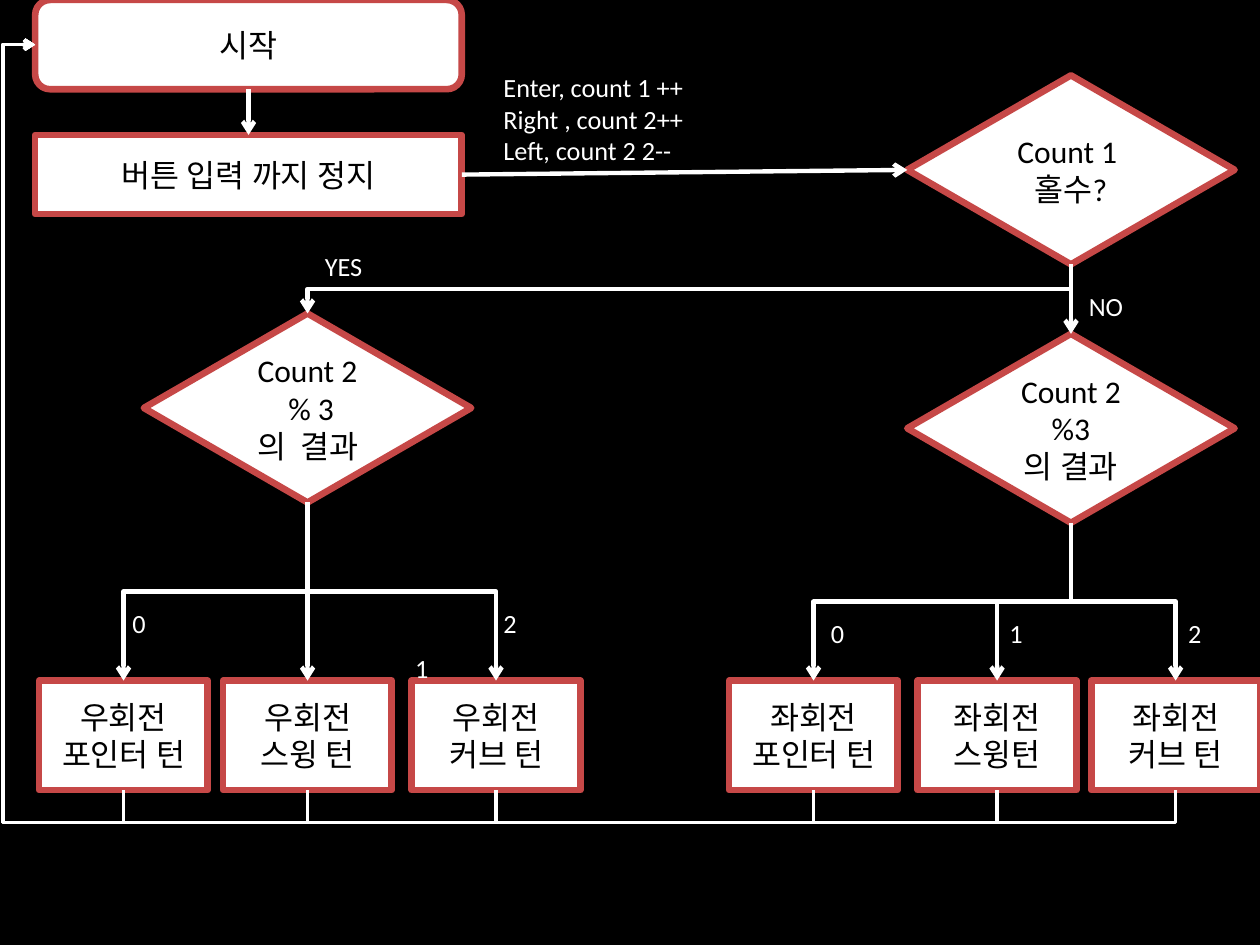
from lxml.etree import SubElement
from pptx import Presentation
from pptx.dml.color import RGBColor
from pptx.enum.shapes import MSO_CONNECTOR as LINK, MSO_SHAPE as SHAPE
from pptx.enum.text import MSO_ANCHOR, PP_ALIGN
from pptx.oxml.ns import qn
from pptx.util import Cm, Pt

COLORS = {"black": "000000", "white": "FFFFFF", "red": "C64847"}
COLORS = {name: RGBColor.from_string(value) for name, value in COLORS.items()}


def write(frame, text, size, color, align):
    frame.word_wrap = True
    frame.text = text
    for paragraph in frame.paragraphs:
        paragraph.alignment = align
        paragraph.font.name = "Calibri"
        paragraph.font.size = Pt(size)
        paragraph.font.color.rgb = COLORS[color]


def style_arrow(arrow, width):
    arrow.line.color.rgb = COLORS["white"]
    arrow.line.width = Pt(width)
    SubElement(arrow.line._get_or_add_ln(), qn("a:tailEnd"), type="arrow")
    SubElement(arrow._element.spPr, qn("a:effectLst"))


deck = Presentation()
deck.slide_width, deck.slide_height = Cm(25.4), Cm(19.05)
slide = deck.slides.add_slide(deck.slide_layouts[6])
slide.background.fill.solid()
slide.background.fill.fore_color.rgb = COLORS["black"]

TURN_TOP, TURN_HEIGHT = 13.72, 2.21
steps = {
    "start": (SHAPE.ROUNDED_RECTANGLE, 0.71, 0, 8.6, 1.8, "시작"),
    "input": (SHAPE.RECTANGLE, 0.71, 2.72, 8.6, 1.6, "버튼 입력 까지 정지"),
}
for key, left, top, text in [
    ("odd", 18.29, 1.52, "Count 1 \n홀수?"),
    ("right", 2.9, 6.32, "Count 2\n % 3\n의  결과"),
    ("left", 18.29, 6.73, "Count 2\n%3\n의 결과"),
]:
    steps[key] = (SHAPE.FLOWCHART_DECISION, left, top, 6.6, 3.81, text)
for key, left, width, text in [
    ("right 0", 0.79, 3.4, "우회전\n포인터 턴"),
    ("right 1", 4.5, 3.4, "우회전\n스윙 턴"),
    ("right 2", 8.3, 3.4, "우회전\n커브 턴"),
    ("left 0", 14.7, 3.4, "좌회전\n포인터 턴"),
    ("left 1", 18.5, 3.2, "좌회전\n스윙턴"),
    ("left 2", 22, 3.4, "좌회전\n커브 턴"),
]:
    steps[key] = (SHAPE.RECTANGLE, left, TURN_TOP, width, TURN_HEIGHT, text)

flow = {}
for key, (kind, left, top, width, height, text) in steps.items():
    step = slide.shapes.add_shape(kind, Cm(left), Cm(top), Cm(width), Cm(height))
    step.shadow.inherit = False
    step.fill.solid()
    step.fill.fore_color.rgb = COLORS["white"]
    step.line.color.rgb = COLORS["red"]
    step.line.width = Pt(3.78)
    step.text_frame.vertical_anchor = MSO_ANCHOR.MIDDLE
    write(step.text_frame, text, 18, "black", PP_ALIGN.CENTER)
    flow[key] = step

for source, source_side, target, target_side in [
    ("start", 2, "input", 0),
    ("input", 3, "odd", 1),
    ("odd", 2, "left", 0),
    ("right", 2, "right 1", 0),
]:
    arrow = slide.shapes.add_connector(LINK.STRAIGHT, 0, 0, 0, 0)
    arrow.begin_connect(flow[source], source_side)
    arrow.end_connect(flow[target], target_side)
    style_arrow(arrow, 2.5)

branches = [("odd", "right")]
branches += [("right", "right 0"), ("right", "right 2")]
branches += [("left", f"left {rest}") for rest in range(3)]
returns = [(key, "start") for key in flow if key[-1].isdigit()]
RETURN_MARGIN = Cm(0.64)

for source, target in branches + returns:
    origin, goal = flow[source], flow[target]
    is_return = target == "start"
    x1, y1 = origin.left + origin.width // 2, origin.top + origin.height
    if is_return:
        x2, y2 = goal.left, goal.top + goal.height // 2
    else:
        x2, y2 = goal.left + goal.width // 2, goal.top
    across, down = abs(x2 - x1), abs(y2 - y1)
    left, top = (x1 + x2 - down) // 2, (y1 + y2 - across) // 2
    elbow = slide.shapes.add_connector(LINK.ELBOW, left, top, left + down, top + across)
    to_right = x2 > x1
    frame = elbow._element.spPr.find(qn("a:xfrm"))
    frame.set("rot", str((270 if to_right else 90) * 60000))
    if to_right or is_return:
        frame.set("flipH", "1")
    if is_return:
        geometry = elbow._element.spPr.find(qn("a:prstGeom"))
        geometry.set("prst", "bentConnector4")
        bends = geometry.find(qn("a:avLst"))
        for name, share in [
            ("adj1", -RETURN_MARGIN / down),
            ("adj2", 1 + RETURN_MARGIN / across),
        ]:
            SubElement(bends, qn("a:gd"), name=name, fmla=f"val {round(share * 100000)}")
    style_arrow(elbow, 2 if is_return else 2.5)

for left, top, width, height, text in [
    (9.9, 1.32, 6.2, 2.18, "Enter, count 1 ++\nRight , count 2++\nLeft, count 2 2--"),
    (6.3, 4.93, 5, 0.89, "YES"),
    (21.7, 5.72, 2, 0.89, "NO"),
    (2.3, 12.12, 2, 0.89, " 0"),
    (8.12, 13.03, 2, 0.89, "1"),
    (9.9, 12.12, 2, 0.89, "2"),
    (16.5, 12.32, 2, 0.89, "0"),
    (20.1, 12.32, 2, 0.89, "1"),
    (23.7, 12.32, 1.4, 0.89, "2"),
]:
    label = slide.shapes.add_textbox(Cm(left), Cm(top), Cm(width), Cm(height))
    write(label.text_frame, text, 15, "white", PP_ALIGN.LEFT)

deck.save("out.pptx")
